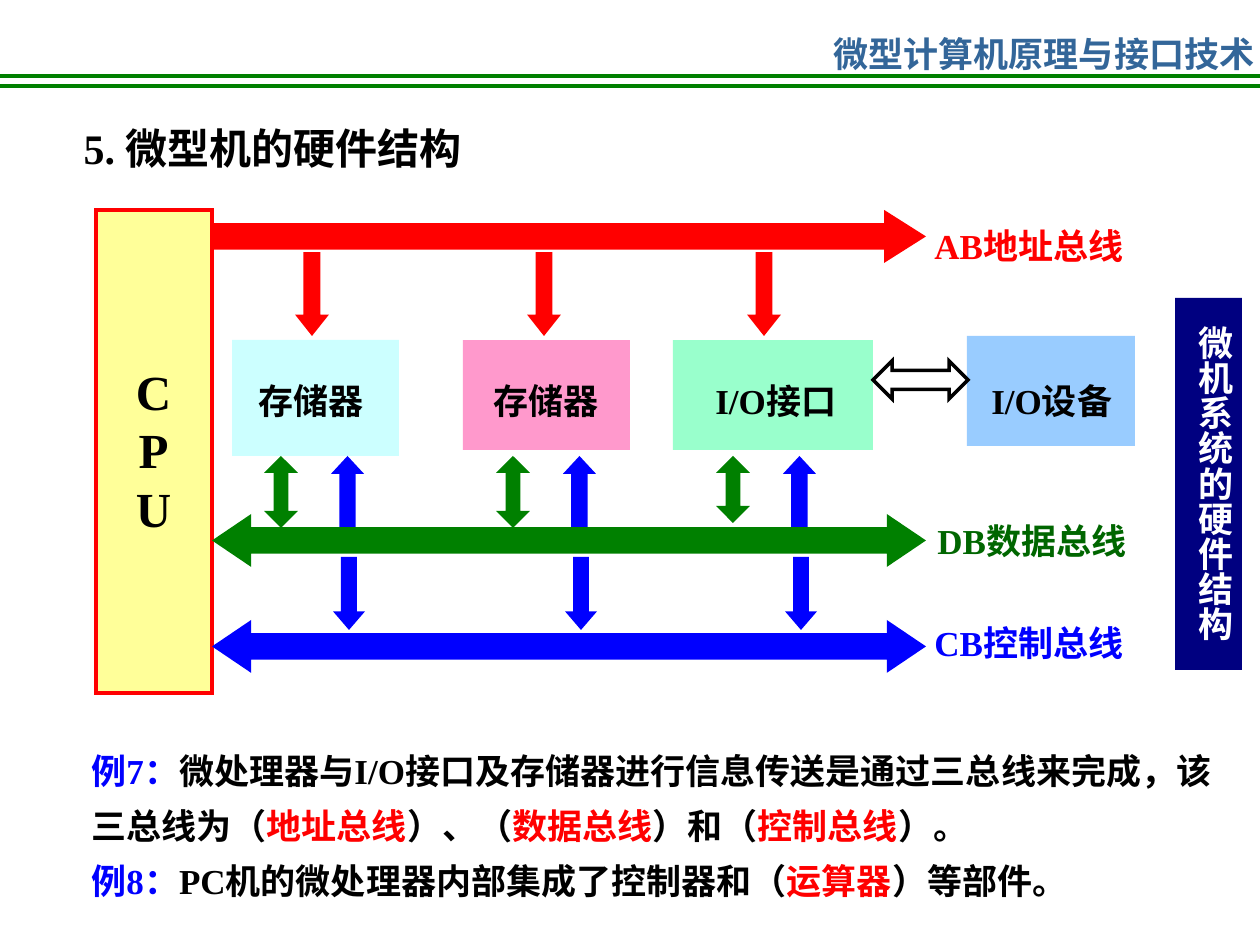
import pptx
import pptx.dml.color
import pptx.enum.shapes
import pptx.enum.text
import pptx.oxml.ns
import pptx.util
from lxml import etree

RGBColor = pptx.dml.color.RGBColor
SHAPE = pptx.enum.shapes.MSO_SHAPE
ALIGN = pptx.enum.text.PP_ALIGN
ANCHOR = pptx.enum.text.MSO_ANCHOR
qn = pptx.oxml.ns.qn

EMU_PER_PX = 914400 / 126
LATIN = "Times New Roman"
CJK = "Noto Sans CJK SC"

BLACK = RGBColor(0x00, 0x00, 0x00)
WHITE = RGBColor(0xFF, 0xFF, 0xFF)
RED = RGBColor(0xFF, 0x00, 0x00)
BLUE = RGBColor(0x00, 0x00, 0xFF)
GREEN = RGBColor(0x00, 0x80, 0x00)
DARK_GREEN = RGBColor(0x00, 0x66, 0x00)
NAVY = RGBColor(0x00, 0x00, 0x80)
STEEL = RGBColor(0x33, 0x66, 0x99)
YELLOW = RGBColor(0xFF, 0xFF, 0x99)
CYAN = RGBColor(0xCC, 0xFF, 0xFF)
PINK = RGBColor(0xFF, 0x99, 0xCC)
MINT = RGBColor(0x99, 0xFF, 0xCC)
SKY = RGBColor(0x99, 0xCC, 0xFF)


def px(length):
    return pptx.util.Emu(round(length * EMU_PER_PX))


def box(*lengths):
    return [px(length) for length in lengths]


def format_run(run, color, size, face):
    run.font.color.rgb = color
    for name, value in {"size": pptx.util.Pt(size), "bold": True, "name": face}.items():
        setattr(run.font, name, value)
    etree.SubElement(run.font._element, qn("a:ea")).set("typeface", CJK)


def set_margins(frame, left, top, right, bottom):
    margins = {"margin_left": left, "margin_top": top,
               "margin_right": right, "margin_bottom": bottom}
    for name, value in margins.items():
        setattr(frame, name, px(value))


def write(frame, paragraphs, size=20, face=LATIN, align=ALIGN.LEFT, spacing=None, wrap=True):
    for name, value in {"word_wrap": wrap, "vertical_anchor": ANCHOR.TOP}.items():
        setattr(frame, name, value)
    for index, runs in enumerate(paragraphs):
        paragraph = frame.add_paragraph() if index else frame.paragraphs[0]
        for name, value in {"alignment": align, "line_spacing": spacing}.items():
            setattr(paragraph, name, value)
        for text, color in runs:
            run = paragraph.add_run()
            run.text = text
            format_run(run, color, size, face)


def add_label(slide, place, paragraphs, **style):
    label = slide.shapes.add_textbox(*box(*place))
    write(label.text_frame, paragraphs, **style)
    return label


def add_block(slide, kind, place, fill, adjustments=(), line=None, width=0):
    block = slide.shapes.add_shape(kind, *box(*place))
    block.shadow.inherit = False
    block.fill.solid()
    block.fill.fore_color.rgb = fill
    for index, value in enumerate(adjustments):
        block.adjustments[index] = value
    if line is None:
        block.line.fill.background()
    else:
        block.line.color.rgb = line
        block.line.width = pptx.util.Pt(width)
        etree.SubElement(block._element.spPr.find(qn("a:ln")), qn("a:miter")).set("lim", "800000")
    return block


def add_rule(slide, left, y, width):
    rule = slide.shapes.add_connector(
        pptx.enum.shapes.MSO_CONNECTOR.STRAIGHT, *box(left, y, 1260, y))
    rule.line.color.rgb = GREEN
    rule.line.width = pptx.util.Pt(width)
    etree.SubElement(rule._element.spPr, qn("a:effectLst"))


def add_header(slide):
    for y in (76, 86):
        add_rule(slide, 72, y, 0.75)
        add_rule(slide, 0, y, 2.25)
    course = add_label(slide, (828, 32, 432, 43), [[("微型计算机原理与接口技术", STEEL)]],
                       face=CJK, align=ALIGN.CENTER)
    set_margins(course.text_frame, 0, 0, 0, 0)


def add_title(slide):
    title = slide.shapes.title
    places = zip(("left", "top", "width", "height"), box(71, 116, 527, 63))
    for name, value in places:
        setattr(title, name, value)
    write(title.text_frame, [[("5. 微型机的硬件结构", BLACK)]], size=24)


def add_units(slide):
    units = [
        ((232, 340, 167, 116), CYAN, "存储器", 246),
        ((463, 340, 167, 110), PINK, "存储器", 481),
        ((673, 340, 200, 110), MINT, "I/O接口", 703),
        ((967, 336, 168, 110), SKY, "I/O设备", 979),
    ]
    for place, fill, name, text_left in units:
        add_block(slide, SHAPE.RECTANGLE, place, fill)
        add_label(slide, (text_left, 373, 175, 55), [[(name, BLACK)]])
    add_block(slide, SHAPE.LEFT_RIGHT_ARROW, (873, 361, 95, 38), WHITE, (0.5, 0.5), BLACK, 2)


def add_cpu(slide):
    add_block(slide, SHAPE.RECTANGLE, (96, 210, 116, 483), YELLOW, line=RED, width=2.5)
    add_label(slide, (117, 355, 73, 189), [[(letter, BLACK)] for letter in "CPU"],
              size=28, align=ALIGN.CENTER, wrap=False)


def add_branches(slide):
    for left, data_height in ((295, 72), (527, 72), (747, 67)):
        add_block(slide, SHAPE.DOWN_ARROW, (left, 252, 34, 84), RED, (0.5, 0.63))
        add_block(slide, SHAPE.UP_DOWN_ARROW, (left - 31, 456, 34, data_height), GREEN,
                  (0.5, 0.43))
        add_block(slide, SHAPE.UP_ARROW, (left + 36, 456, 33, 72), BLUE, (0.5, 0.54))
        add_block(slide, SHAPE.DOWN_ARROW, (left + 38, 557, 32, 73), BLUE, (0.5, 0.58))


def add_buses(slide):
    buses = [
        (SHAPE.RIGHT_ARROW, 210, RED, 0.79, "AB地址总线", RED, 922, 218),
        (SHAPE.LEFT_RIGHT_ARROW, 514, GREEN, 0.74, "DB数据总线", DARK_GREEN, 925, 513),
        (SHAPE.LEFT_RIGHT_ARROW, 620, BLUE, 0.74, "CB控制总线", BLUE, 922, 615),
    ]
    for kind, top, fill, head, name, color, text_left, text_top in buses:
        add_block(slide, kind, (212, top, 714, 53), fill, (0.5, head))
        add_label(slide, (text_left, text_top, 231, 55), [[(name, color)]], wrap=False)


def add_side_banner(slide):
    banner = add_block(slide, SHAPE.RECTANGLE, (1175, 298, 67, 372), NAVY)
    frame = banner.text_frame
    set_margins(frame, 6, 28, 6, 13)
    write(frame, [[("微机系统的硬件结构", WHITE)]])
    frame._txBody.bodyPr.set("vert", "eaVert")


def add_examples(slide):
    examples = [
        [("例7：", BLUE),
         ("微处理器与I/O接口及存储器进行信息传送是通过三总线来完成，该三总线为（", BLACK),
         ("地址总线", RED), ("）、（", BLACK), ("数据总线", RED), ("）和（", BLACK),
         ("控制总线", RED), ("）。", BLACK)],
        [("例8：", BLUE), ("PC机的微处理器内部集成了控制器和（", BLACK),
         ("运算器", RED), ("）等部件。", BLACK)],
    ]
    add_label(slide, (79, 731, 1177, 176), examples, spacing=1.3)


def main():
    deck = pptx.Presentation()
    deck.slide_width, deck.slide_height = box(1260, 945)
    slide = deck.slides.add_slide(deck.slide_layouts[5])
    add_header(slide)
    add_title(slide)
    add_cpu(slide)
    add_units(slide)
    add_branches(slide)
    add_buses(slide)
    add_side_banner(slide)
    add_examples(slide)
    deck.save("out.pptx")


if __name__ == "__main__":
    main()
